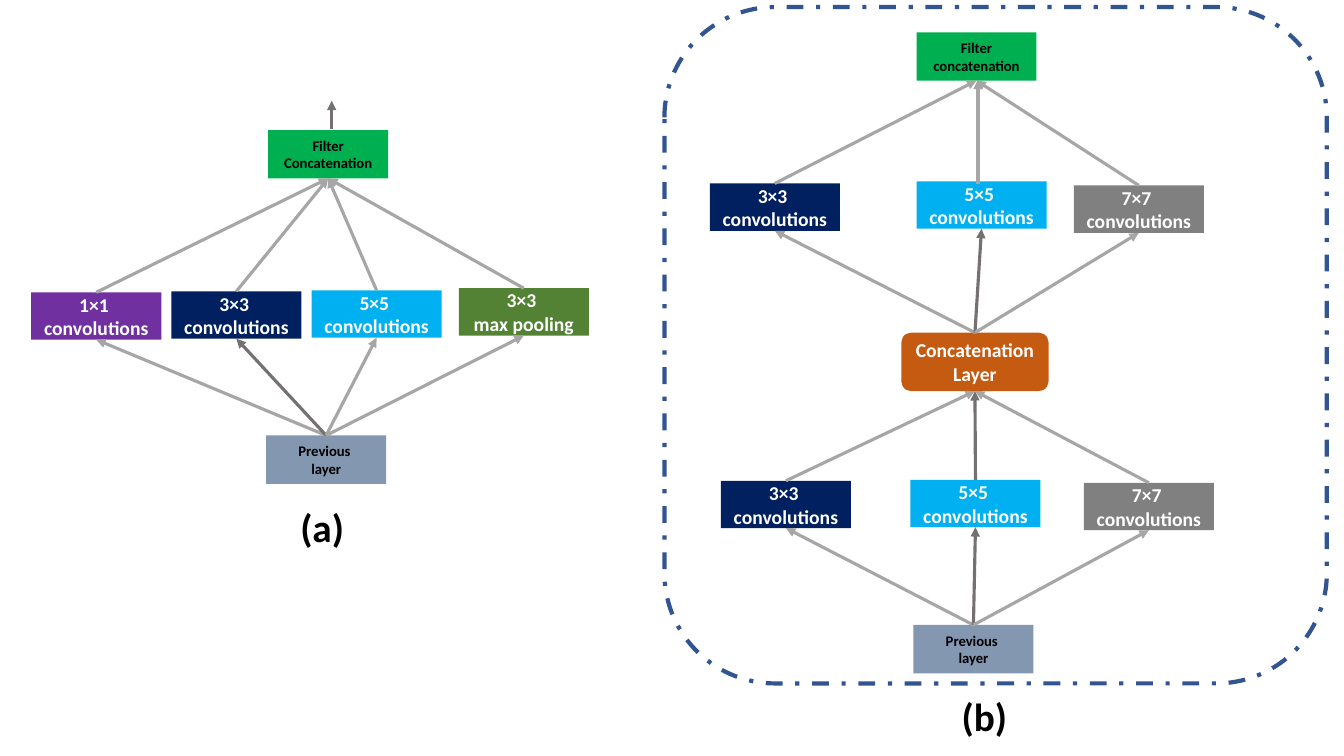
from pptx import Presentation, util as u
from pptx.dml.color import RGBColor
from pptx.enum import dml, shapes, text
from pptx.oxml.ns import qn
from lxml import etree

COLORS = {"purple": "7030A0", "navy": "002060", "sky": "00B0F0", "olive": "548235",
          "gray": "808080", "green": "00B050", "slate": "8497B0", "orange": "C55A11",
          "light": "A6A6A6", "dark": "767171", "frame": "325491",
          "white": "FFFFFF", "black": "000000"}

# Kinds of box: preset, width, height, font size, font colour
KINDS = {"op": (shapes.MSO_SHAPE.RECTANGLE, 1.29, 0.47, 14, "white"),
         "end": (shapes.MSO_SHAPE.RECTANGLE, 1.19, 0.48, 10.5, "black"),
         "hub": (shapes.MSO_SHAPE.ROUNDED_RECTANGLE, 1.46, 0.58, 14, "white")}

# Boxes: name -> kind, left, top, fill, paragraphs
CONV = "convolutions"
BOXES = {
    "a_filter": ("end", 2.66, 1.29, "green", ["Filter Concatenation"]),
    "a_1x1": ("op", 0.31, 2.9, "purple", ["1×1 ", CONV]),
    "a_3x3": ("op", 1.7, 2.89, "navy", ["3×3 ", CONV]),
    "a_5x5": ("op", 3.09, 2.88, "sky", ["5×5 ", CONV]),
    "a_pool": ("op", 4.55, 2.86, "olive", ["3×3 ", "max pooling"]),
    "a_previous": ("end", 2.64, 4.32, "slate", ["Previous ", "layer"]),
    "b_filter": ("end", 9.09, 0.32, "green", ["Filter concatenation"]),
    "b_top_3x3": ("op", 7.04, 1.82, "navy", ["3×3 ", CONV]),
    "b_top_5x5": ("op", 9.09, 1.8, "sky", ["5×5 ", CONV]),
    "b_top_7x7": ("op", 10.65, 1.84, "gray", ["7×7 ", CONV]),
    "b_hub": ("hub", 8.94, 3.3, "orange", ["Concatenation ", "Layer"]),
    "b_low_3x3": ("op", 7.15, 4.77, "navy", ["3×3 ", CONV]),
    "b_low_5x5": ("op", 9.03, 4.76, "sky", ["5×5 ", CONV]),
    "b_low_7x7": ("op", 10.75, 4.79, "gray", ["7×7 ", CONV]),
    "b_previous": ("end", 9.06, 6.2, "slate", ["Previous ", "layer"]),
}

# Branches: source box, parallel boxes, target box
BRANCHES = [
    ("a_previous", ["a_1x1", "a_3x3", "a_5x5", "a_pool"], "a_filter"),
    ("b_previous", ["b_low_3x3", "b_low_5x5", "b_low_7x7"], "b_hub"),
    ("b_hub", ["b_top_3x3", "b_top_5x5", "b_top_7x7"], "b_filter"),
]
DARK_LINKS = {("a_previous", "a_3x3"), ("b_previous", "b_low_5x5"),
              ("b_low_5x5", "b_hub"), ("b_hub", "b_top_5x5")}

# Upright arrows: x, start y, end y, colour
UPRIGHT_LINKS = {("b_top_5x5", "b_filter"): (9.7, 1.83, 0.79, "light")}
OUTPUT_ARROW = (3.29, 1.28, 1, "dark")

# Captions: text, left, top, width, height
CAPTIONS = [("(a)", 2.88, 4.94, 6.67, 0.57), ("(b)", 9.44, 6.82, 1.71, 0.59)]
FRAME = (6.59, 0.07, 6.57, 6.71)


def rgb(name):
    return RGBColor.from_string(COLORS[name])


def inches(*values):
    return [u.Inches(v) for v in values]


def add_text(p, words, size, color):
    r = p.add_run()
    r.text = words
    r.font.name, r.font.size, r.font.bold = "Calibri", u.Pt(size), True
    r.font.color.rgb = rgb(color)


def add_box(s, kind, left, top, fill, lines):
    preset, width, height, size, color = KINDS[kind]
    sp = s.shapes.add_shape(preset, *inches(left, top, width, height))
    sp.shadow.inherit = False
    sp.fill.solid()
    sp.fill.fore_color.rgb = rgb(fill)
    sp.line.fill.background()
    tf = sp.text_frame
    tf.word_wrap = True
    tf.vertical_anchor = text.MSO_ANCHOR.MIDDLE
    for i, words in enumerate(lines):
        p = tf.add_paragraph() if i else tf.paragraphs[0]
        p.alignment = text.PP_ALIGN.CENTER
        add_text(p, words, size, color)
    return sp


def add_arrow(s, color, x=0, y1=0, y2=0):
    cx = s.shapes.add_connector(shapes.MSO_CONNECTOR.STRAIGHT, *inches(x, y1, x, y2))
    cx.line.color.rgb = rgb(color)
    cx.line.width = u.Pt(2.25)
    etree.SubElement(cx.line._get_or_add_ln(), qn("a:tailEnd"), type="triangle")
    etree.SubElement(cx._element.spPr, qn("a:effectLst"))
    return cx


def link(s, boxes, start, end):
    if (start, end) in UPRIGHT_LINKS:
        x, y1, y2, color = UPRIGHT_LINKS[start, end]
        add_arrow(s, color, x, y1, y2)
        return
    cx = add_arrow(s, "dark" if (start, end) in DARK_LINKS else "light")
    cx.begin_connect(boxes[start], 0)
    cx.end_connect(boxes[end], 2)


def main():
    prs = Presentation()
    prs.slide_width, prs.slide_height = inches(13.33, 7.5)
    s = prs.slides.add_slide(prs.slide_layouts[6])

    # Layer boxes
    boxes = {name: add_box(s, *box) for name, box in BOXES.items()}

    # Arrows through each set of parallel layers
    for source, layers, target in BRANCHES:
        for layer in layers:
            link(s, boxes, source, layer)
            link(s, boxes, layer, target)
    x, y1, y2, color = OUTPUT_ARROW
    add_arrow(s, color, x, y1, y2)

    # Dashed frame around (b)
    frame = s.shapes.add_shape(shapes.MSO_SHAPE.ROUNDED_RECTANGLE, *inches(*FRAME))
    frame.shadow.inherit = False
    frame.fill.background()
    frame.line.color.rgb = rgb("frame")
    frame.line.width = u.Pt(3)
    frame.line.dash_style = dml.MSO_LINE.DASH_DOT

    # Captions
    for words, *place in CAPTIONS:
        tf = s.shapes.add_textbox(*inches(*place)).text_frame
        tf.word_wrap = True
        add_text(tf.paragraphs[0], words, 28, "black")

    prs.save("out.pptx")


if __name__ == "__main__":
    main()
